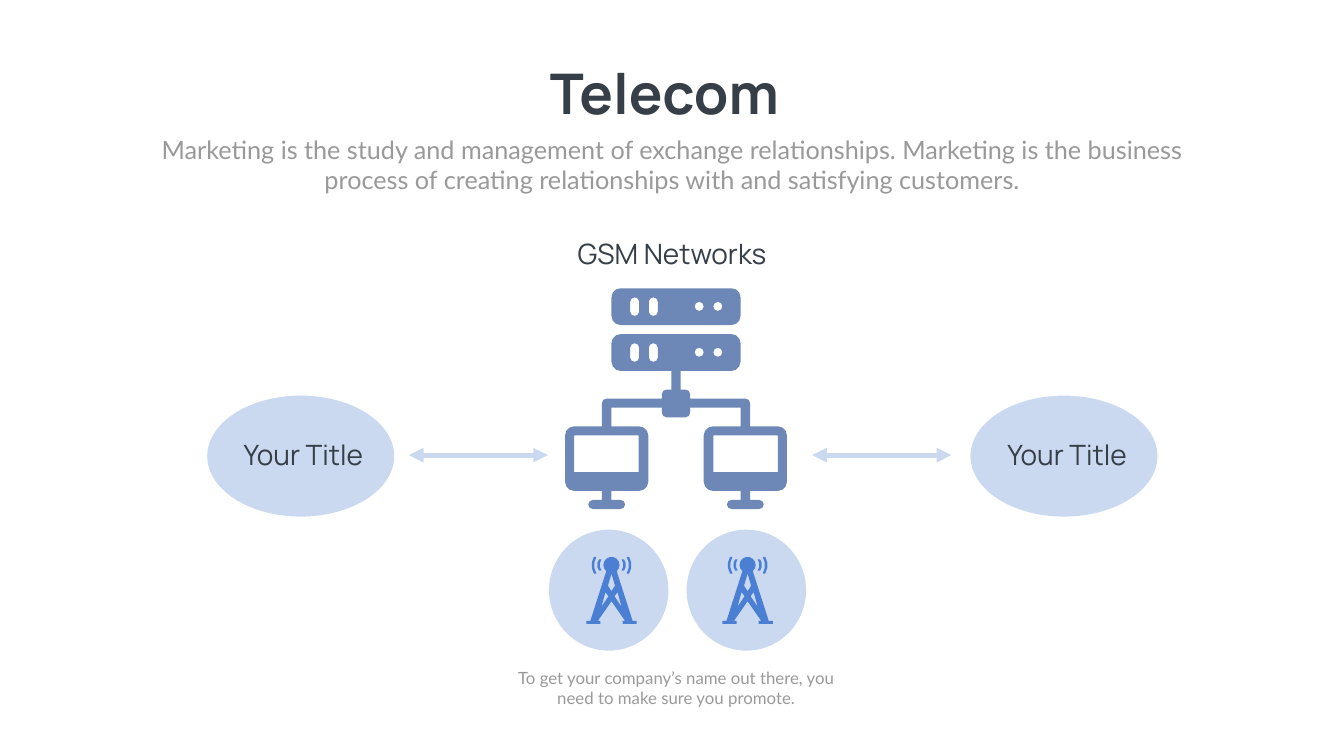
from dataclasses import dataclass
from math import cos, hypot, radians, sin

from lxml import etree
from pptx import Presentation
from pptx.dml.color import RGBColor
from pptx.enum.shapes import MSO_CONNECTOR, MSO_SHAPE
from pptx.enum.text import MSO_AUTO_SIZE, PP_ALIGN
from pptx.oxml.ns import qn
from pptx.shapes.group import GroupShape
from pptx.slide import Slide
from pptx.util import Emu, Pt

ELLIPSE = MSO_SHAPE.OVAL
STRAIGHT = MSO_CONNECTOR.STRAIGHT
CENTER, RIGHT = PP_ALIGN.CENTER, PP_ALIGN.RIGHT
FIT = MSO_AUTO_SIZE.SHAPE_TO_FIT_TEXT

PX = 9144  # EMU per px, 100 px to the inch
COLORS = {
    "dark": "363E48",
    "gray": "999999",
    "pale": "CBD9F0",
    "network": "6D88B7",
    "tower": "4A7FD3",
}
FONTS = {
    "title": {"name": "Manrope", "size": Pt(80), "bold": True},
    "label": {"name": "Manrope", "size": Pt(40)},
    "subtitle": {"name": "Lato", "size": Pt(36)},
    "note": {"name": "Lato", "size": Pt(24)},
}

Point = tuple[float, float]
Corner = tuple[float, float, int]  # x, y, corner radius


@dataclass
class Label:
    text: str
    left: int
    top: int
    width: int
    height: int
    font: str
    color: str = "dark"
    align: PP_ALIGN = CENTER
    wrap: bool = False


@dataclass
class Ellipse:
    left: int
    top: int
    width: int
    height: int


@dataclass
class Arrow:
    left: int
    right: int
    y: int


LABELS = [
    Label("Telecom", 1048, 112, 540, 145, "title"),
    Label("Marketing is the study and management of exchange relationships. "
          "Marketing is the business process of creating relationships with "
          "and satisfying customers.",
          292, 261, 2082, 131, "subtitle", "gray", wrap=True),
    Label("GSM Networks", 1122, 464, 422, 77, "label"),
    Label("To get your company’s name out there, you need to make sure you promote.",
          989, 1319, 704, 91, "note", "gray", wrap=True),
]
LABELS += [Label("Your Title", x, 864, 279, 77, "label", align=RIGHT) for x in (451, 1966)]
ELLIPSES = [Ellipse(x, 785, 371, 240) for x in (411, 1925)]
ELLIPSES += [Ellipse(x, 1051, 237, 240) for x in (1089, 1362)]
ARROWS = [Arrow(x, x + 276, 903) for x in (811, 1611)]

NETWORK_CENTER = 1341
SERVER_TOPS = (572, 663)
TOWER_CENTERS = (1213, 1483)
TOWER_TOP = 1105

# Right halves, as offsets from the icon's centre line, clockwise from the top
NETWORK_HALF: list[Corner] = [
    (128, 663, 18), (128, 736, 18), (9, 736, 0), (9, 773, 0), (28, 773, 9),
    (28, 791, 0), (147, 791, 9), (147, 846, 0), (220, 846, 18), (220, 974, 18),
    (147, 974, 0), (147, 992, 0), (174, 992, 9), (174, 1010, 9), (101, 1010, 9),
    (101, 992, 9), (128, 992, 0), (128, 974, 0), (55, 974, 18), (55, 846, 18),
    (128, 846, 0), (128, 809, 0), (28, 809, 0), (28, 828, 9),
]
TOWER_HEAD: list[Corner] = [
    (16 * cos(radians(a)), 16 + 16 * sin(radians(a)), 0) for a in range(-75, 51, 25)
]
TOWER_HALF = TOWER_HEAD + [
    (42, 127, 0), (50, 127, 0), (50, 133, 0), (22, 133, 0), (22, 127, 0),
    (27, 127, 0), (0, 88, 0),
]
TOWER_GAP: list[Corner] = [(0, 33, 0), (7, 57, 0), (0, 68, 0), (-7, 57, 0)]
TOWER_SIDE_GAP: list[Corner] = [(20, 99, 0), (12, 70, 0), (6, 78, 0)]


def mirror(corners: list[Corner]) -> list[Corner]:
    return [(-x, y, r) for x, y, r in reversed(corners)]


def wave(left: int, top: int, height: int, bulge: int) -> list[Corner]:
    """Outline a thin crescent that bows to the right."""
    edge = [(left, top), (left + bulge, top + height // 3),
            (left + bulge, top + height - height // 3), (left, top + height)]
    return [(x + 5, y, 0) for x, y in edge] + [(x, y, 0) for x, y in reversed(edge)]


def rectangle(left: int, top: int, width: int, height: int, radius: int = 0) -> list[Corner]:
    right, bottom = left + width, top + height
    return [(left, top, radius), (right, top, radius),
            (right, bottom, radius), (left, bottom, radius)]


def server_holes(top: int) -> list[list[Corner]]:
    slots = [rectangle(x, top + 18, 18, 37, 9) for x in (-91, -54)]
    lights = [rectangle(x, top + 27, 18, 18, 9) for x in (37, 74)]
    return slots + lights


def round_corners(corners: list[Corner]) -> list[Point]:
    """Trace a polygon, with each corner that has a radius drawn as a few chords."""
    points: list[Point] = []
    for i, (x, y, radius) in enumerate(corners):
        if not radius:
            points.append((x, y))
            continue
        ends = []
        for near in (corners[i - 1], corners[(i + 1) % len(corners)]):
            dx, dy = near[0] - x, near[1] - y
            ends.append((dx * radius / hypot(dx, dy), dy * radius / hypot(dx, dy)))
        (ax, ay), (bx, by) = ends
        steps = 3 if radius > 9 else 2
        for step in range(steps + 1):
            angle = radians(90 * step / steps)
            a, b = 1 - sin(angle), 1 - cos(angle)
            points.append((x + a * ax + b * bx, y + a * ay + b * by))
    return points


def draw_outline(group: GroupShape, contours: list[list[Corner]],
                 center: int, top: int, color: str) -> None:
    """Draw one filled freeform; contours after the first are holes."""
    traced = [list(dict.fromkeys((round((center + x) * PX), round((top + y) * PX))
                                 for x, y in round_corners(contour)))
              for contour in contours]
    builder = group.shapes.build_freeform(*traced[0][0], scale=1.0)
    for index, points in enumerate(traced):
        if index:
            builder.move_to(*points[0])
        builder.add_line_segments(points[1:], close=True)
    paint(builder.convert_to_shape(), color)


def paint(shape, color: str) -> None:
    shape.shadow.inherit = False
    shape.fill.solid()
    shape.fill.fore_color.rgb = RGBColor.from_string(COLORS[color])
    shape.line.fill.background()


def draw_network(page: Slide) -> None:
    group = page.shapes.add_group_shape()
    upper, lower = SERVER_TOPS
    server = rectangle(-128, upper, 256, 73, 18)
    draw_outline(group, [server] + server_holes(upper), NETWORK_CENTER, 0, "network")
    screens = [rectangle(x, 864, 128, 73) for x in (-202, 74)]
    outline = NETWORK_HALF + mirror(NETWORK_HALF)
    draw_outline(group, [outline] + server_holes(lower) + screens,
                 NETWORK_CENTER, 0, "network")


def draw_tower(page: Slide, center: int) -> None:
    group = page.shapes.add_group_shape()
    for crescent in (wave(30, 0, 33, 4), wave(20, 5, 22, 3)):
        for side in (crescent, mirror(crescent)):
            draw_outline(group, [side], center, TOWER_TOP, "tower")
    mast = [TOWER_HALF + mirror(TOWER_HALF), TOWER_GAP,
            TOWER_SIDE_GAP, mirror(TOWER_SIDE_GAP)]
    draw_outline(group, mast, center, TOWER_TOP, "tower")


def draw_ellipse(page: Slide, item: Ellipse) -> None:
    size = [Emu(v * PX) for v in (item.left, item.top, item.width, item.height)]
    paint(page.shapes.add_shape(ELLIPSE, *size), "pale")


def draw_arrow(page: Slide, arrow: Arrow) -> None:
    ends = [Emu(v * PX) for v in (arrow.left, arrow.y, arrow.right, arrow.y)]
    connector = page.shapes.add_connector(STRAIGHT, *ends)
    connector.line.width = Pt(7)
    connector.line.color.rgb = RGBColor.from_string(COLORS["pale"])
    properties = connector._element.spPr
    for end in ("a:headEnd", "a:tailEnd"):
        etree.SubElement(properties.find(qn("a:ln")), qn(end), type="triangle")
    etree.SubElement(properties, qn("a:effectLst"))


def draw_label(page: Slide, label: Label) -> None:
    size = [Emu(v * PX) for v in (label.left, label.top, label.width, label.height)]
    frame = page.shapes.add_textbox(*size).text_frame
    frame.word_wrap = label.wrap
    frame.auto_size = FIT
    para = frame.paragraphs[0]
    para.alignment = label.align
    span = para.add_run()
    span.text = label.text
    for name, value in FONTS[label.font].items():
        setattr(span.font, name, value)
    span.font.color.rgb = RGBColor.from_string(COLORS[label.color])


def main() -> None:
    deck = Presentation()
    deck.slide_width, deck.slide_height = Emu(2666 * PX), Emu(1500 * PX)
    page = deck.slides.add_slide(deck.slide_layouts[6])
    for item in ELLIPSES:
        draw_ellipse(page, item)
    draw_network(page)
    for arrow in ARROWS:
        draw_arrow(page, arrow)
    for center in TOWER_CENTERS:
        draw_tower(page, center)
    for label in LABELS:
        draw_label(page, label)
    deck.save("out.pptx")


if __name__ == "__main__":
    main()
